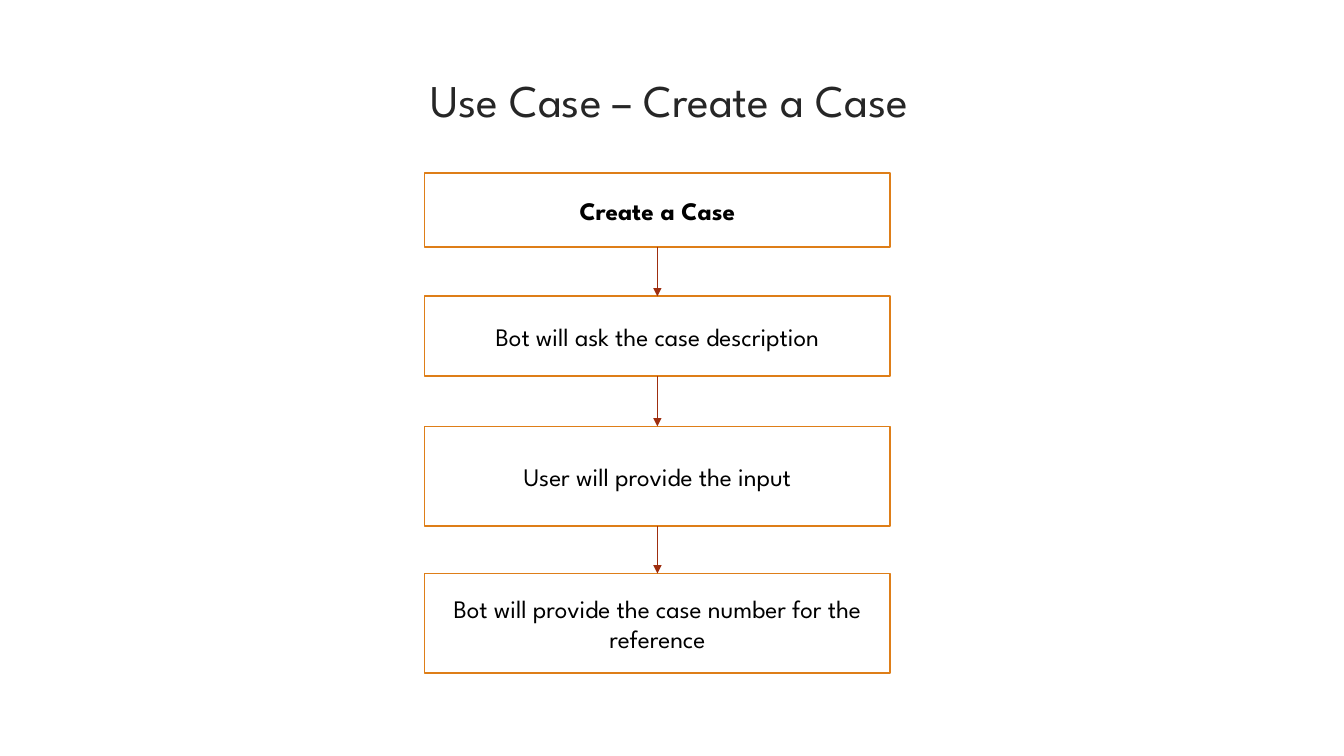
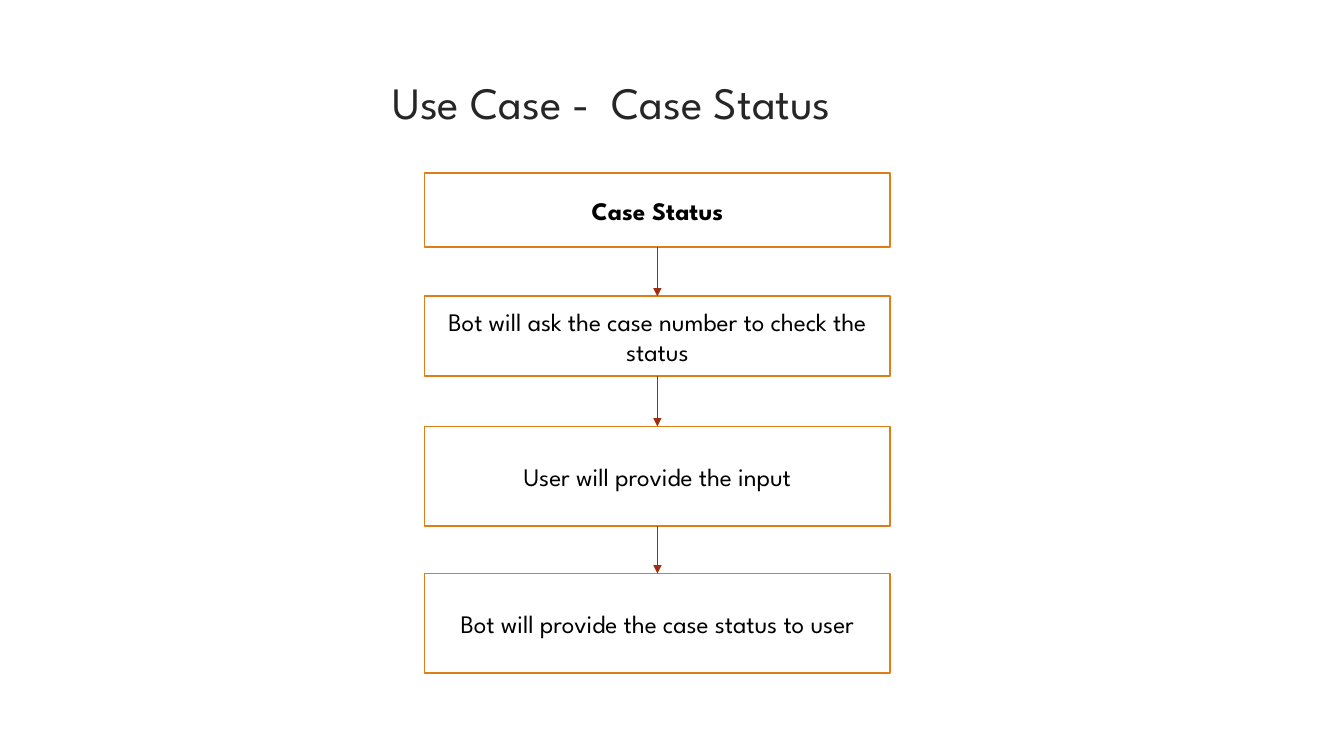
from dataclasses import dataclass

from lxml import etree
from pptx import Presentation
from pptx.dml.color import RGBColor
from pptx.enum.shapes import MSO_CONNECTOR, MSO_SHAPE
from pptx.enum.text import MSO_ANCHOR, MSO_AUTO_SIZE, PP_ALIGN
from pptx.oxml.ns import qn
from pptx.util import Pt

RECTANGLE = MSO_SHAPE.RECTANGLE
STRAIGHT = MSO_CONNECTOR.STRAIGHT
LEFT, CENTER = PP_ALIGN.LEFT, PP_ALIGN.CENTER
TOP, MIDDLE = MSO_ANCHOR.TOP, MSO_ANCHOR.MIDDLE
TITLE_ONLY = 5
TOP_SIDE, BOTTOM_SIDE = 0, 2


@dataclass(frozen=True)
class Theme:
    font: str = "League Spartan"
    title_color: RGBColor = RGBColor(0x26, 0x26, 0x26)
    step_color: RGBColor = RGBColor(0, 0, 0)
    step_fill: RGBColor = RGBColor(0xFF, 0xFF, 0xFF)
    step_border: RGBColor = RGBColor(0xDE, 0x7E, 0x18)
    arrow: RGBColor = RGBColor(0x9E, 0x2E, 0x0F)
    step_size: float = 18
    border_width: float = 1.25
    arrow_width: float = 0.75


THEME = Theme()

USE_CASES = [
    {
        "title": [(" ", 32.4, True), ("Use Case – Create a Case", 32.4, False)],
        "title_box": (233.3, 48.2, 481, 33.8),
        "title_align": CENTER,
        "steps": [
            "Create a Case",
            "Bot will ask the case description",
            "User will provide the input",
            "Bot will provide the case number for the reference",
        ],
    },
    {
        "title": [(" ", 36, True), ("Use Case -  Case Status", 32, False)],
        "title_box": (263.5, 46.1, 420.5, 53.3),
        "title_align": LEFT,
        "steps": [
            "Case Status",
            "Bot will ask the case number to check the status",
            "User will provide the input",
            "Bot will provide the case status to user",
        ],
    },
]

STEP_LEFT, STEP_WIDTH = 303.3, 332.6
STEP_ROWS = [(123.8, 52.6), (211.7, 56.9), (304.6, 71.3), (409.7, 71.3)]


def write(frame, runs, color, align=CENTER, anchor=MIDDLE):
    frame.word_wrap = True
    frame.auto_size = MSO_AUTO_SIZE.NONE
    frame.vertical_anchor = anchor
    paragraph = frame.paragraphs[0]
    paragraph.alignment = align
    for text, size, bold in runs:
        run = paragraph.add_run()
        run.text = text
        run.font.name = THEME.font
        run.font.size = Pt(size)
        run.font.bold = bold
        run.font.color.rgb = color


def add_title(slide, runs, box, align):
    title = slide.shapes.title
    title.left, title.top, title.width, title.height = map(Pt, box)
    write(title.text_frame, runs, THEME.title_color, align=align, anchor=TOP)


def add_step(slide, text, top, height, bold):
    step = slide.shapes.add_shape(
        RECTANGLE, Pt(STEP_LEFT), Pt(top), Pt(STEP_WIDTH), Pt(height))
    step.shadow.inherit = False
    step.fill.solid()
    step.fill.fore_color.rgb = THEME.step_fill
    step.line.color.rgb = THEME.step_border
    step.line.width = Pt(THEME.border_width)
    write(step.text_frame, [(text, THEME.step_size, bold)], THEME.step_color)
    return step


def add_arrow(slide, upper, lower):
    arrow = slide.shapes.add_connector(STRAIGHT, 0, 0, 0, 0)
    arrow.begin_connect(upper, BOTTOM_SIDE)
    arrow.end_connect(lower, TOP_SIDE)
    arrow.line.color.rgb = THEME.arrow
    arrow.line.width = Pt(THEME.arrow_width)
    properties = arrow._element.spPr
    etree.SubElement(properties.find(qn("a:ln")), qn("a:tailEnd"), type="triangle")
    etree.SubElement(properties, qn("a:effectLst"))


def add_use_case(deck, case):
    slide = deck.slides.add_slide(deck.slide_layouts[TITLE_ONLY])
    add_title(slide, case["title"], case["title_box"], case["title_align"])
    steps = [
        add_step(slide, text, top, height, bold=index == 0)
        for index, (text, (top, height)) in enumerate(zip(case["steps"], STEP_ROWS))
    ]
    for upper, lower in zip(steps, steps[1:]):
        add_arrow(slide, upper, lower)


def main():
    deck = Presentation()
    deck.slide_width, deck.slide_height = Pt(960), Pt(540)
    for case in USE_CASES:
        add_use_case(deck, case)
    deck.save("out.pptx")


if __name__ == "__main__":
    main()
